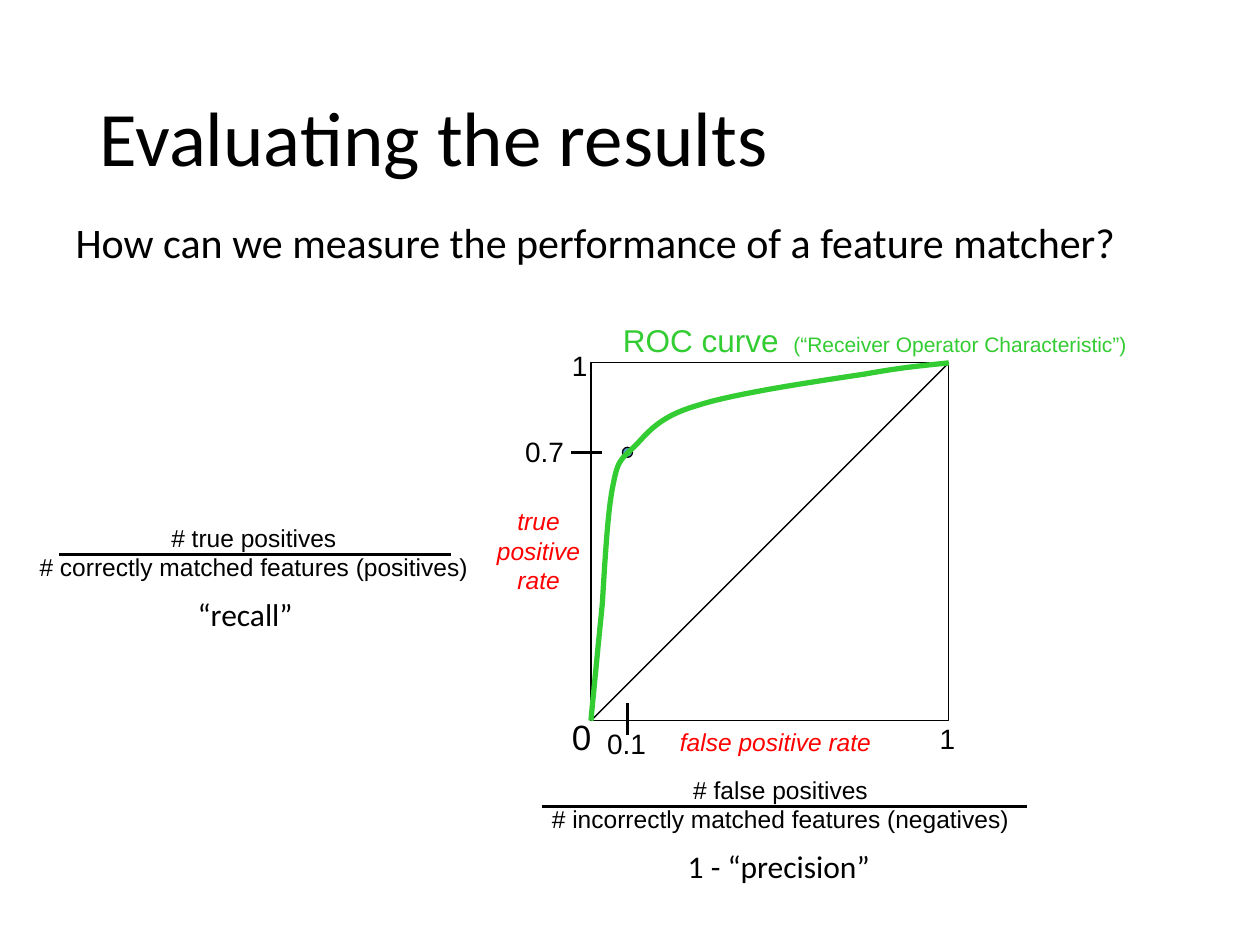
import dataclasses

import lxml.etree
import pptx
import pptx.dml.color
import pptx.enum.shapes
import pptx.enum.text
import pptx.oxml.ns
import pptx.util

Inches = pptx.util.Inches
Pt = pptx.util.Pt
Align = pptx.enum.text.PP_ALIGN
Anchor = pptx.enum.text.MSO_ANCHOR
AutoSize = pptx.enum.text.MSO_AUTO_SIZE
Shape = pptx.enum.shapes.MSO_SHAPE
Connector = pptx.enum.shapes.MSO_CONNECTOR


@dataclasses.dataclass(frozen=True)
class Theme:
    ink: str = "000000"
    rate: str = "FF0000"
    curve: str = "33CC33"
    point: str = "5B9BD5"
    heading_font: str = "Calibri"
    label_font: str = "Arial"
    title: int = 44
    question: int = 24
    origin: int = 20
    caption: int = 18
    tick: int = 16
    label: int = 14
    note: int = 12
    thin: float = 0.75
    medium: float = 1.5
    thick: float = 3


def color(value):
    return pptx.dml.color.RGBColor.from_string(value)


def bezier_points(start, segments, steps=16):
    """Sample a chain of cubic curves; each segment is (control, control, end)."""
    points = [start]
    for first, second, end in segments:
        corners = (points[-1], first, second, end)
        for step in range(1, steps + 1):
            t = step / steps
            weights = ((1 - t) ** 3, 3 * t * (1 - t) ** 2, 3 * t * t * (1 - t), t ** 3)
            points.append(tuple(sum(w * corner[axis] for w, corner in zip(weights, corners))
                                for axis in (0, 1)))
    return points


class SlideBuilder:
    def __init__(self, slide, theme):
        self.slide = slide
        self.theme = theme

    def style_font(self, font, size, family, tint=None, italic=None):
        font.size = Pt(size)
        font.name = family
        font.color.rgb = color(tint or self.theme.ink)
        font.italic = italic

    def style_line(self, shape, width, tint=None):
        shape.line.color.rgb = color(tint or self.theme.ink)
        shape.line.width = Pt(width)

    def place(self, shape, left, top, width, height):
        shape.left, shape.top = Inches(left), Inches(top)
        shape.width, shape.height = Inches(width), Inches(height)

    def title(self, text, *area):
        box = self.slide.shapes.title
        self.place(box, *area)
        box.text_frame.text = text
        box.text_frame.vertical_anchor = Anchor.MIDDLE
        para = box.text_frame.paragraphs[0]
        para.alignment = Align.LEFT
        para.line_spacing = 0.9
        self.style_font(para.font, self.theme.title, self.theme.heading_font)

    def question(self, text, *area):
        box = self.slide.placeholders[1]
        self.place(box, *area)
        box.text_frame.text = text
        box.text_frame.auto_size = AutoSize.NONE
        para = box.text_frame.paragraphs[0]
        properties = para._p.get_or_add_pPr()
        properties.set("marL", str(Inches(0.38)))
        properties.set("indent", str(Inches(-0.38)))
        lxml.etree.SubElement(properties, pptx.oxml.ns.qn("a:buNone"))
        para.space_before = Pt(0)
        self.style_font(para.font, self.theme.question, self.theme.heading_font)

    def text(self, text, left, top, width, height, size, family=None, tint=None,
             italic=None, align=Align.LEFT, wrap=True, shapes=None):
        shapes = shapes or self.slide.shapes
        box = shapes.add_textbox(Inches(left), Inches(top), Inches(width), Inches(height))
        frame = box.text_frame
        frame.word_wrap = wrap
        frame.auto_size = AutoSize.SHAPE_TO_FIT_TEXT
        frame.text = text
        for para in frame.paragraphs:
            para.alignment = align
            self.style_font(para.font, size, family or self.theme.label_font, tint, italic)
        return box

    def rate_label(self, text, *area):
        self.text(text, *area, self.theme.label, tint=self.theme.rate, italic=True,
                  align=Align.CENTER)

    def line(self, start, end, width, shapes=None):
        shapes = shapes or self.slide.shapes
        ends = [Inches(value) for value in (*start, *end)]
        connector = shapes.add_connector(Connector.STRAIGHT, *ends)
        self.style_line(connector, width)
        lxml.etree.SubElement(connector._element.spPr, pptx.oxml.ns.qn("a:effectLst"))

    def outline(self, kind, left, top, width, height, fill=None):
        shape = self.slide.shapes.add_shape(
            kind, Inches(left), Inches(top), Inches(width), Inches(height))
        shape.shadow.inherit = False
        self.style_line(shape, self.theme.thin)
        if fill:
            shape.fill.solid()
            shape.fill.fore_color.rgb = color(fill)
        else:
            shape.fill.background()

    def curve(self, points):
        points = [(Inches(x), Inches(y)) for x, y in points]
        builder = self.slide.shapes.build_freeform(*points[0])
        builder.add_line_segments(points[1:], close=False)
        shape = builder.convert_to_shape()
        shape.shadow.inherit = False
        shape.fill.background()
        self.style_line(shape, self.theme.thick, self.theme.curve)

    def curve_heading(self, name, note, *area):
        box = self.text(name, *area, self.theme.caption, tint=self.theme.curve,
                        align=Align.CENTER)
        span = box.text_frame.paragraphs[0].add_run()
        span.text = note
        span.font.size = Pt(self.theme.note)

    def fraction(self, over, under, left, top, width, bar_left, bar_right):
        shapes = self.slide.shapes.add_group_shape().shapes
        self.text(f"{over}\n{under}", left, top, width, 0.57, self.theme.label,
                  align=Align.CENTER, shapes=shapes)
        bar = top + 0.3
        self.line((bar_left, bar), (bar_right, bar), self.theme.medium, shapes)

    def measure_name(self, text, *area):
        self.text(text, *area, self.theme.caption, self.theme.heading_font, wrap=False)


def main():
    deck = pptx.Presentation()
    deck.slide_width, deck.slide_height = Inches(10), Inches(7.5)
    theme = Theme()
    page = SlideBuilder(deck.slides.add_slide(deck.slide_layouts[1]), theme)

    page.title("Evaluating the results", 0.69, 0.4, 8.62, 1.45)
    page.question("How can we measure the performance of a feature matcher?",
                  0.5, 1.67, 9, 0.75)

    left, top, side = 4.69, 2.88, 2.84
    right, bottom = left + side, top + side
    point_x, point_y = 4.98, 3.59
    page.outline(Shape.RECTANGLE, left, top, side, side)
    for text, x, y, width, size in (
            ("0", 4.44, 5.63, 0.5, theme.origin),
            ("1", 7.36, 5.68, 0.33, theme.tick),
            ("1", 4.44, 2.72, 0.33, theme.tick),
            ("0.7", 4.07, 3.4, 0.83, theme.tick),
            ("0.1", 4.72, 5.72, 0.83, theme.tick)):
        page.text(text, x, y, width, 0.37, size)
    page.rate_label("false positive rate", 4.28, 5.72, 3.75, 0.33)
    page.rate_label("true\vpositive\vrate", 3.61, 3.97, 1.33, 0.81)

    page.outline(Shape.OVAL, point_x - 0.04, point_y - 0.04, 0.08, 0.08, theme.point)
    page.line((point_x, 5.58), (point_x, 5.83), theme.medium)
    page.line((4.53, point_y), (4.78, point_y), theme.medium)
    page.line((left, bottom), (right, top), theme.thin)
    page.curve(bezier_points((left, bottom), [
        ((4.72, 5.41), (4.75, 5.1), (4.78, 4.8)),
        ((4.8, 4.49), (4.82, 4.09), (4.86, 3.88)),
        ((4.9, 3.67), (4.91, 3.66), (5.03, 3.55)),
        ((5.14, 3.44), (5.22, 3.31), (5.53, 3.22)),
        ((5.83, 3.12), (6.53, 3.02), (6.86, 2.97)),
        ((7.19, 2.91), (7.36, 2.9), (right, top))]))
    page.curve_heading("ROC curve ", " (“Receiver Operator Characteristic”)",
                       3.78, 2.5, 6.33, 0.5)

    page.fraction("# true positives", "# correctly matched features (positives)",
                  0.17, 4.1, 3.69, 0.47, 3.58)
    page.measure_name("“recall”", 1.47, 4.67, 0.96, 0.4)
    page.fraction("# false positives", "# incorrectly matched features (negatives)",
                  3.94, 6.1, 4.51, 4.3, 8.15)
    page.measure_name("1 - “precision”", 5.36, 6.67, 1.66, 0.4)

    deck.save("out.pptx")


if __name__ == "__main__":
    main()
